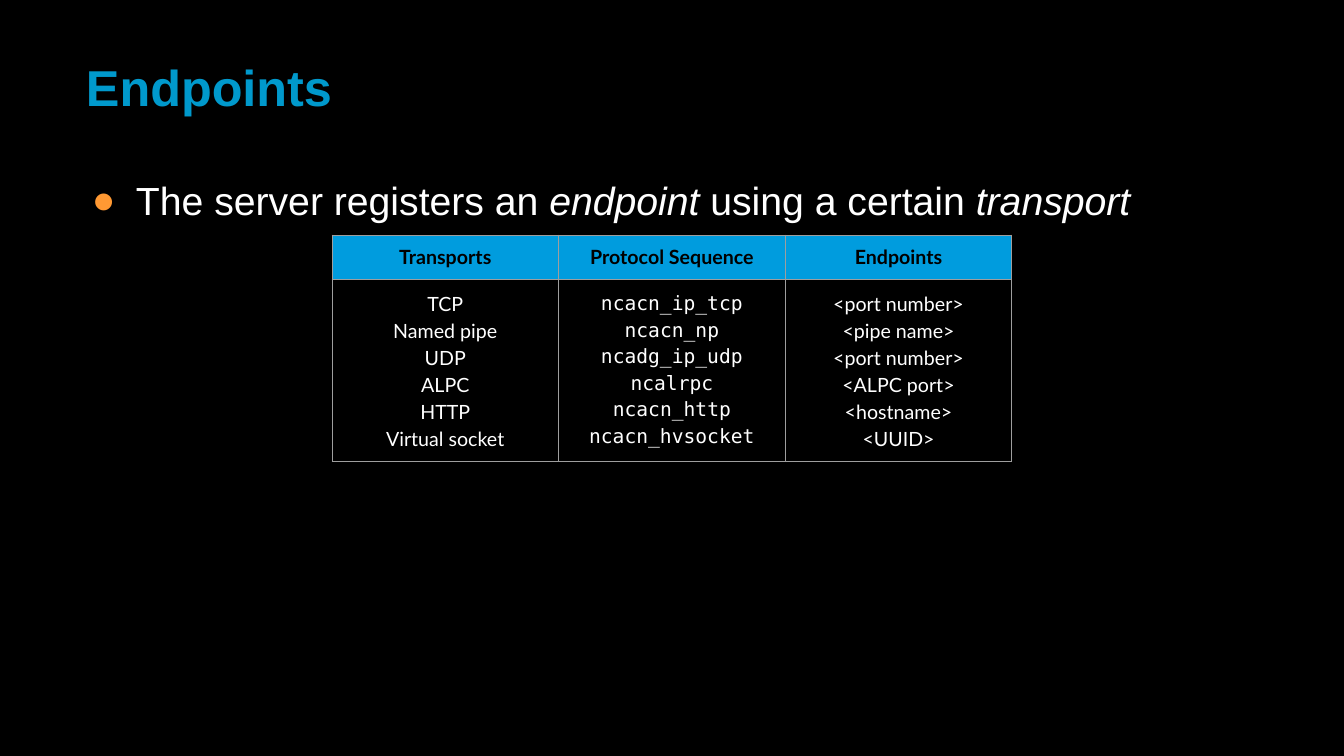
from lxml import etree
from pptx import Presentation
from pptx import util as u
from pptx.dml.color import RGBColor
from pptx.enum import text
from pptx.oxml import ns

SCALE = 914400 / 100.8
BLACK = RGBColor(0x00, 0x00, 0x00)
WHITE = RGBColor(0xFF, 0xFF, 0xFF)
TITLE_BLUE = RGBColor(0x00, 0x99, 0xCC)
HEADER_BLUE = RGBColor(0x00, 0x9C, 0xDE)
ORANGE = RGBColor(0xFF, 0x99, 0x33)
GRAY = RGBColor(0x9E, 0x9E, 0x9E)
SANS, TABLE_FONT, MONO = "Arial", "Lato", "DejaVu Sans Mono"

COLUMNS = [
    ("Transports", TABLE_FONT,
     ["TCP", "Named pipe", "UDP", "ALPC", "HTTP", "Virtual socket"]),
    ("Protocol Sequence", MONO,
     ["ncacn_ip_tcp", "ncacn_np", "ncadg_ip_udp", "ncalrpc", "ncacn_http", "ncacn_hvsocket"]),
    ("Endpoints", TABLE_FONT,
     ["<port number>", "<pipe name>", "<port number>", "<ALPC port>", "<hostname>", "<UUID>"]),
]


def px(n):
    return u.Emu(round(n * SCALE))


def sub(parent, tag, **attrs):
    return etree.SubElement(parent, ns.qn(tag), attrs)


def add_run(p, words, font, size, color, bold=False, italic=False):
    r = p.add_run()
    r.text = words
    r.font.name, r.font.size = font, u.Pt(size)
    r.font.bold, r.font.italic = bold, italic
    r.font.color.rgb = color


def set_insets(target):
    target.margin_left = target.margin_right = px(10)
    target.margin_top = target.margin_bottom = px(10)


def add_box(s, x, y, w, h):
    tf = s.shapes.add_textbox(px(x), px(y), px(w), px(h)).text_frame
    tf.word_wrap = True
    set_insets(tf)
    return tf


def add_title(s, x, y, w, h):
    tf = add_box(s, x, y, w, h)
    tf.vertical_anchor = text.MSO_ANCHOR.MIDDLE
    add_run(tf.paragraphs[0], "Endpoints", SANS, 36, TITLE_BLUE, bold=True)


def add_body(s, x, y, w, h):
    p = add_box(s, x, y, w, h).paragraphs[0]
    p.line_spacing = 1.5
    pPr = p._p.get_or_add_pPr()
    pPr.set("marL", str(px(50)))
    pPr.set("indent", str(px(-44)))
    sub(sub(pPr, "a:buClr"), "a:srgbClr", val=str(ORANGE))
    sub(pPr, "a:buFont", typeface=SANS)
    sub(pPr, "a:buChar", char="●")
    for words, italic in [("The server registers an ", False), ("endpoint", True),
                          (" using a certain ", False), ("transport", True)]:
        add_run(p, words, SANS, 28, WHITE, italic=italic)


def style_cell(cell, fill):
    set_insets(cell)
    tcPr = cell._tc.get_or_add_tcPr()
    for side in ("a:lnL", "a:lnR", "a:lnT", "a:lnB"):
        ln = sub(tcPr, side, w=str(u.Pt(0.75)))
        sub(sub(ln, "a:solidFill"), "a:srgbClr", val=str(GRAY))
    if fill is None:
        cell.fill.background()
    else:
        cell.fill.solid()
        cell.fill.fore_color.rgb = fill


def add_endpoint_table(s, x, y, w, h, header_h=44):
    table = s.shapes.add_table(2, len(COLUMNS), px(x), px(y), px(w), px(h)).table
    table.first_row = table.horz_banding = False
    table.rows[0].height = px(header_h)
    table.rows[1].height = px(h - header_h)
    for i, (heading, font, entries) in enumerate(COLUMNS):
        table.columns[i].width = px(w / len(COLUMNS))
        header, body = table.cell(0, i), table.cell(1, i)
        style_cell(header, HEADER_BLUE)
        style_cell(body, None)
        p = header.text_frame.paragraphs[0]
        p.alignment = text.PP_ALIGN.CENTER
        add_run(p, heading, TABLE_FONT, 14, BLACK, bold=True)
        tf = body.text_frame
        for j, entry in enumerate(entries):
            p = tf.add_paragraph() if j else tf.paragraphs[0]
            p.alignment = text.PP_ALIGN.CENTER
            p.line_spacing = 1.15
            add_run(p, entry, font, 14, WHITE)


def main():
    prs = Presentation()
    prs.slide_width, prs.slide_height = px(1344), px(756)
    s = prs.slides.add_slide(prs.slide_layouts[6])
    s.background.fill.solid()
    s.background.fill.fore_color.rgb = BLACK
    add_title(s, 76, 61, 1227, 50)
    add_body(s, 76, 143, 1227, 532)
    add_endpoint_table(s, 332, 235, 680, 226)
    prs.save("out.pptx")


if __name__ == "__main__":
    main()
